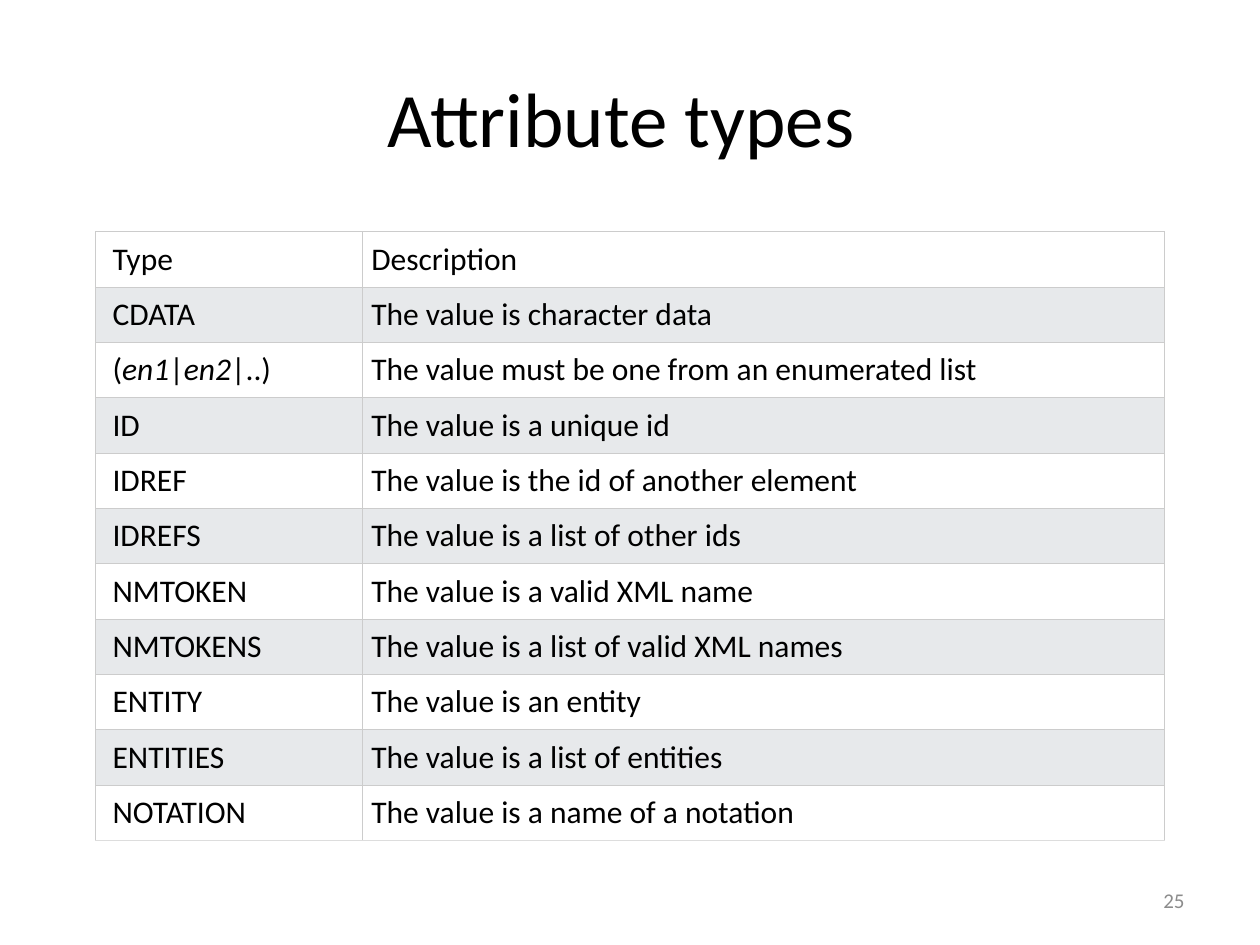
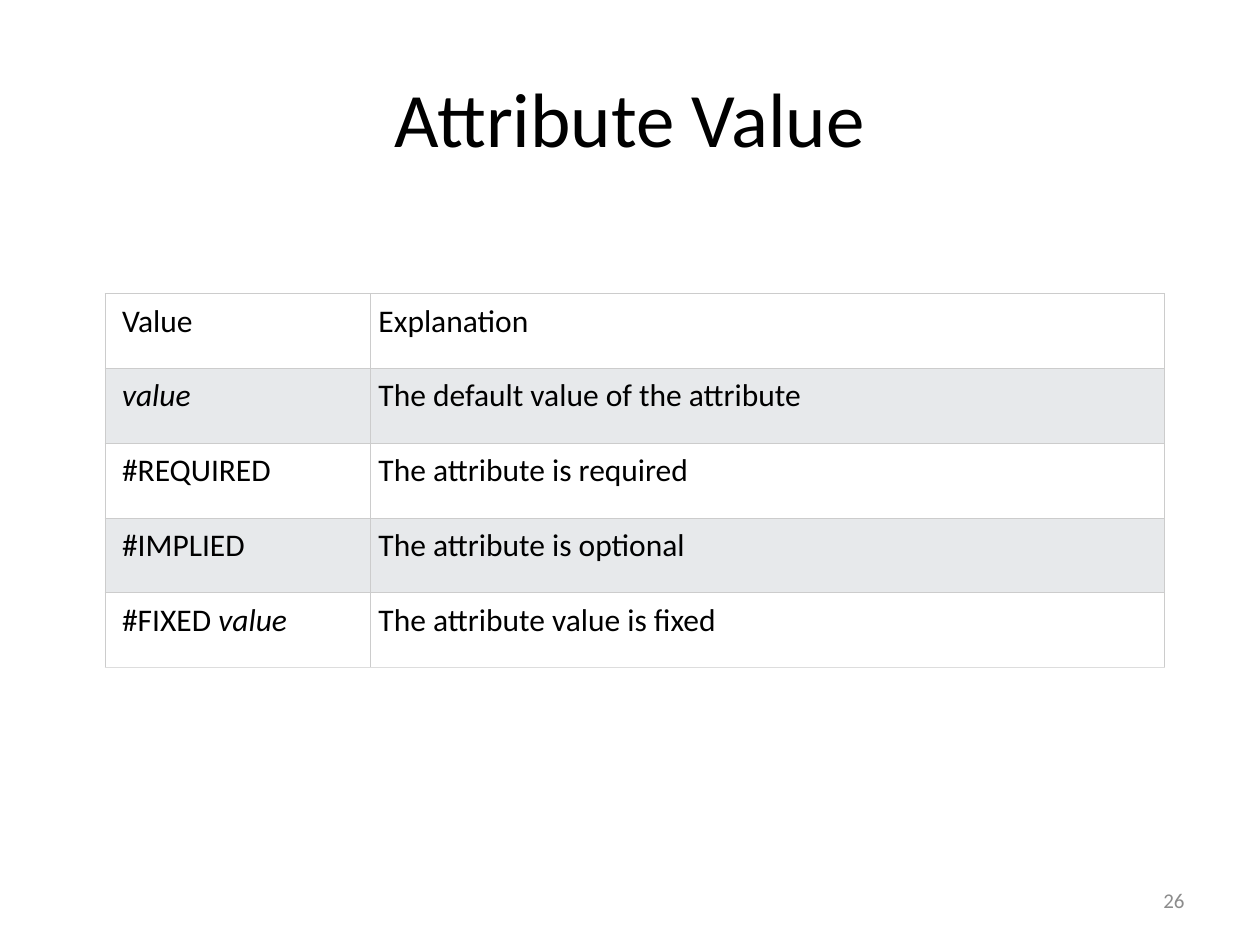
import lxml.etree
import pptx
import pptx.dml.color
import pptx.enum.text
import pptx.oxml.ns
import pptx.util
from pptx.util import Cm, Pt

FONT = "Calibri"
COLORS = {
    "text": "000000",
    "number": "8C8C8C",
    "plain_row": "FFFFFF",
    "shaded_row": "E7E9EB",
    "border": "CCCCCC",
    "last_border": "DDDDDD",
}
TITLE_ONLY_LAYOUT = 5
TITLE_BOX = (Cm(1.27), Cm(0.76), Cm(22.86), Cm(3.18))
NUMBER_BOX = (Cm(18.2), Cm(17.65), Cm(5.93), Cm(1.01))

# Text between asterisks is set in italics.
TYPE_ROWS = [
    ("Type", "Description"),
    ("CDATA", "The value is character data"),
    ("(*en1*|*en2*|..)", "The value must be one from an enumerated list"),
    ("ID", "The value is a unique id"),
    ("IDREF", "The value is the id of another element"),
    ("IDREFS", "The value is a list of other ids"),
    ("NMTOKEN", "The value is a valid XML name"),
    ("NMTOKENS", "The value is a list of valid XML names"),
    ("ENTITY", "The value is an entity"),
    ("ENTITIES", "The value is a list of entities"),
    ("NOTATION", "The value is a name of a notation"),
]
VALUE_ROWS = [
    ("Value", "Explanation"),
    ("*value*", "The default value of the attribute"),
    ("#REQUIRED", "The attribute is required"),
    ("#IMPLIED", "The attribute is optional"),
    ("#FIXED *value*", "The attribute value is fixed"),
]


def rgb(color):
    return pptx.dml.color.RGBColor.from_string(COLORS[color])


def write_text(text_frame, text, size, color, alignment):
    paragraph = text_frame.paragraphs[0]
    paragraph.alignment = alignment
    paragraph.font.name = FONT
    paragraph.font.size = Pt(size)
    paragraph.font.color.rgb = rgb(color)
    for index, part in enumerate(text.split("*")):
        if part:
            run = paragraph.add_run()
            run.text = part
            if index % 2:
                run.font.italic = True


def set_borders(cell, bottom_color):
    """Draw thin lines on all four sides; they must precede the cell's fill."""
    properties = cell._tc.get_or_add_tcPr()
    qualified = pptx.oxml.ns.qn
    for index, side in enumerate(("lnL", "lnR", "lnT", "lnB")):
        line = lxml.etree.Element(qualified(f"a:{side}"), w=str(Pt(0.6)))
        fill = lxml.etree.SubElement(line, qualified("a:solidFill"))
        color = bottom_color if side == "lnB" else "border"
        lxml.etree.SubElement(fill, qualified("a:srgbClr"), val=COLORS[color])
        properties.insert(index, line)


def add_title(slide, text, box):
    title = slide.shapes.title
    title.left, title.top, title.width, title.height = box
    title.text_frame.vertical_anchor = pptx.enum.text.MSO_ANCHOR.MIDDLE
    write_text(title.text_frame, text, 44, "text", pptx.enum.text.PP_ALIGN.CENTER)


def add_slide_number(slide, number, box):
    text_frame = slide.shapes.add_textbox(*box).text_frame
    text_frame.word_wrap = True
    text_frame.vertical_anchor = pptx.enum.text.MSO_ANCHOR.MIDDLE
    write_text(text_frame, str(number), 12, "number", pptx.enum.text.PP_ALIGN.RIGHT)


def add_definition_table(slide, rows, box):
    """Fill the box with equal rows; the first column takes a quarter of it."""
    left, top, width, height = box
    table = slide.shapes.add_table(len(rows), 2, left, top, width, height).table
    table.first_row = False
    table.horz_banding = False
    table.columns[0].width = width // 4
    table.columns[1].width = width - width // 4
    for row_index, texts in enumerate(rows):
        table.rows[row_index].height = height // len(rows)
        is_last = row_index == len(rows) - 1
        for column_index, text in enumerate(texts):
            cell = table.cell(row_index, column_index)
            cell.margin_left = Cm(0.17 if column_index else 0.34)
            cell.margin_right = cell.margin_top = cell.margin_bottom = Cm(0.17)
            cell.fill.solid()
            cell.fill.fore_color.rgb = rgb("shaded_row" if row_index % 2 else "plain_row")
            set_borders(cell, "last_border" if is_last else "border")
            write_text(cell.text_frame, text, 18, "text", pptx.enum.text.PP_ALIGN.LEFT)


def add_table_slide(presentation, title, number, rows, table_box):
    slide = presentation.slides.add_slide(presentation.slide_layouts[TITLE_ONLY_LAYOUT])
    add_title(slide, title, TITLE_BOX)
    add_definition_table(slide, rows, table_box)
    add_slide_number(slide, number, NUMBER_BOX)


def main():
    presentation = pptx.Presentation()
    presentation.slide_width = Cm(25.4)
    presentation.slide_height = Cm(19.05)
    add_table_slide(presentation, "Attribute types ", 25, TYPE_ROWS,
                    (Cm(1.93), Cm(4.67), Cm(21.54), Cm(12.12)))
    add_table_slide(presentation, "Attribute Value", 26, VALUE_ROWS,
                    (Cm(2.12), Cm(5.92), Cm(21.36), Cm(7.54)))
    presentation.save("out.pptx")


if __name__ == "__main__":
    main()
